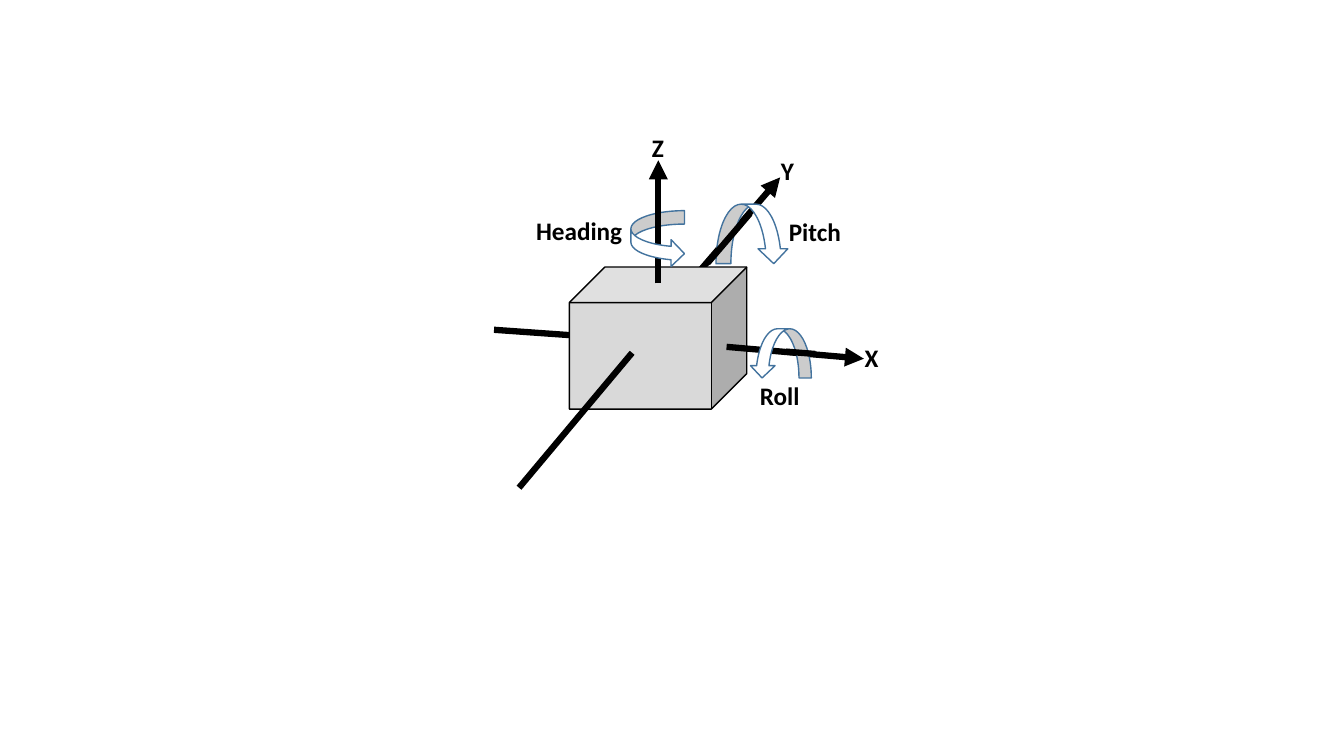
from dataclasses import dataclass

from lxml import etree
from pptx import Presentation
from pptx import util as u
from pptx.dml.color import RGBColor
from pptx.enum import shapes, text
from pptx.oxml.ns import qn
from pptx.shapes.shapetree import GroupShapes

COLORS = {"ink": "000000", "cube": "D9D9D9", "turn": "FFFFFF", "turn_line": "43739E"}


@dataclass
class Axis:
    x1: float
    y1: float
    x2: float
    y2: float
    arrow: bool = False


@dataclass
class Solid:
    kind: shapes.MSO_SHAPE
    x: float
    y: float
    w: float
    h: float
    fill: str
    line: str
    rotation: int = 0
    flip: bool = False


@dataclass
class Label:
    words: str
    x: float
    y: float
    w: float


def rgb(name: str) -> RGBColor:
    return RGBColor.from_string(COLORS[name])


def draw_axis(group: GroupShapes, a: Axis) -> None:
    c = group.add_connector(shapes.MSO_CONNECTOR.STRAIGHT,
                            u.Cm(a.x1), u.Cm(a.y1), u.Cm(a.x2), u.Cm(a.y2))
    c.line.color.rgb = rgb("ink")
    c.line.width = u.Pt(4.5)
    props = c._element.spPr
    if a.arrow:
        etree.SubElement(props.find(qn("a:ln")), qn("a:tailEnd"), type="triangle")
    etree.SubElement(props, qn("a:effectLst"))


def draw_solid(group: GroupShapes, b: Solid) -> None:
    sp = group.add_shape(b.kind, u.Cm(b.x), u.Cm(b.y), u.Cm(b.w), u.Cm(b.h))
    sp.shadow.inherit = False
    sp.fill.solid()
    sp.fill.fore_color.rgb = rgb(b.fill)
    sp.line.color.rgb = rgb(b.line)
    sp.line.width = u.Pt(1)
    sp.rotation = b.rotation
    if b.flip:
        sp._element.spPr.find(qn("a:xfrm")).set("flipH", "1")


def draw_label(group: GroupShapes, label: Label) -> None:
    sp = group.add_textbox(u.Cm(label.x), u.Cm(label.y), u.Cm(label.w), u.Cm(1.32))
    tf = sp.text_frame
    tf.word_wrap = True
    tf.vertical_anchor = text.MSO_ANCHOR.TOP
    p = tf.paragraphs[0]
    p.text = label.words
    p.font.name = "Calibri"
    p.font.size = u.Pt(18)
    p.font.bold = True
    p.font.color.rgb = rgb("ink")


def turn(x: float, y: float, w: float, h: float,
         rotation: int = 0, flip: bool = False) -> Solid:
    """Describe a curved arrow that shows rotation about an axis."""
    return Solid(shapes.MSO_SHAPE.CURVED_RIGHT_ARROW, x, y, w, h,
                 "turn", "turn_line", rotation, flip)


# Back to front: short axis pieces pass over the curved arrows.
PARTS = [
    Axis(12.45, 8.31, 15.29, 8.51, arrow=True),
    Axis(17.15, 7.39, 19.66, 4.47, arrow=True),
    Solid(shapes.MSO_SHAPE.CUBE, 14.35, 6.73, 4.47, 3.58, "cube", "ink"),
    Axis(18.31, 8.74, 21.77, 9.04, arrow=True),
    Axis(15.93, 8.89, 13.08, 12.29),
    Axis(16.59, 7.14, 16.59, 4.04, arrow=True),
    turn(15.9, 5.31, 1.35, 1.42),
    Axis(16.59, 5.28, 16.59, 5.89),
    turn(18.21, 4.98, 1.5, 1.83, rotation=270, flip=True),
    Axis(18.9, 5.38, 17.83, 6.63),
    turn(19.05, 8.13, 1.24, 1.55, rotation=90),
    Axis(20.55, 8.92, 19.81, 8.86),
    Label("X", 21.54, 8.51, 1.19),
    Label("Y", 19.43, 3.78, 1.17),
    Label("Z", 16.18, 3.2, 1.12),
    Label("Roll", 18.9, 9.47, 2.08),
    Label("Pitch", 19.63, 5.33, 2.51),
    Label("Heading", 13.26, 5.31, 3.71),
]
DRAW = {Axis: draw_axis, Solid: draw_solid, Label: draw_label}


def main() -> None:
    prs = Presentation()
    prs.slide_width, prs.slide_height = u.Cm(33.87), u.Cm(19.05)
    s = prs.slides.add_slide(prs.slide_layouts[6])
    group = s.shapes.add_group_shape().shapes
    for part in PARTS:
        DRAW[type(part)](group, part)
    prs.save("out.pptx")


if __name__ == "__main__":
    main()
